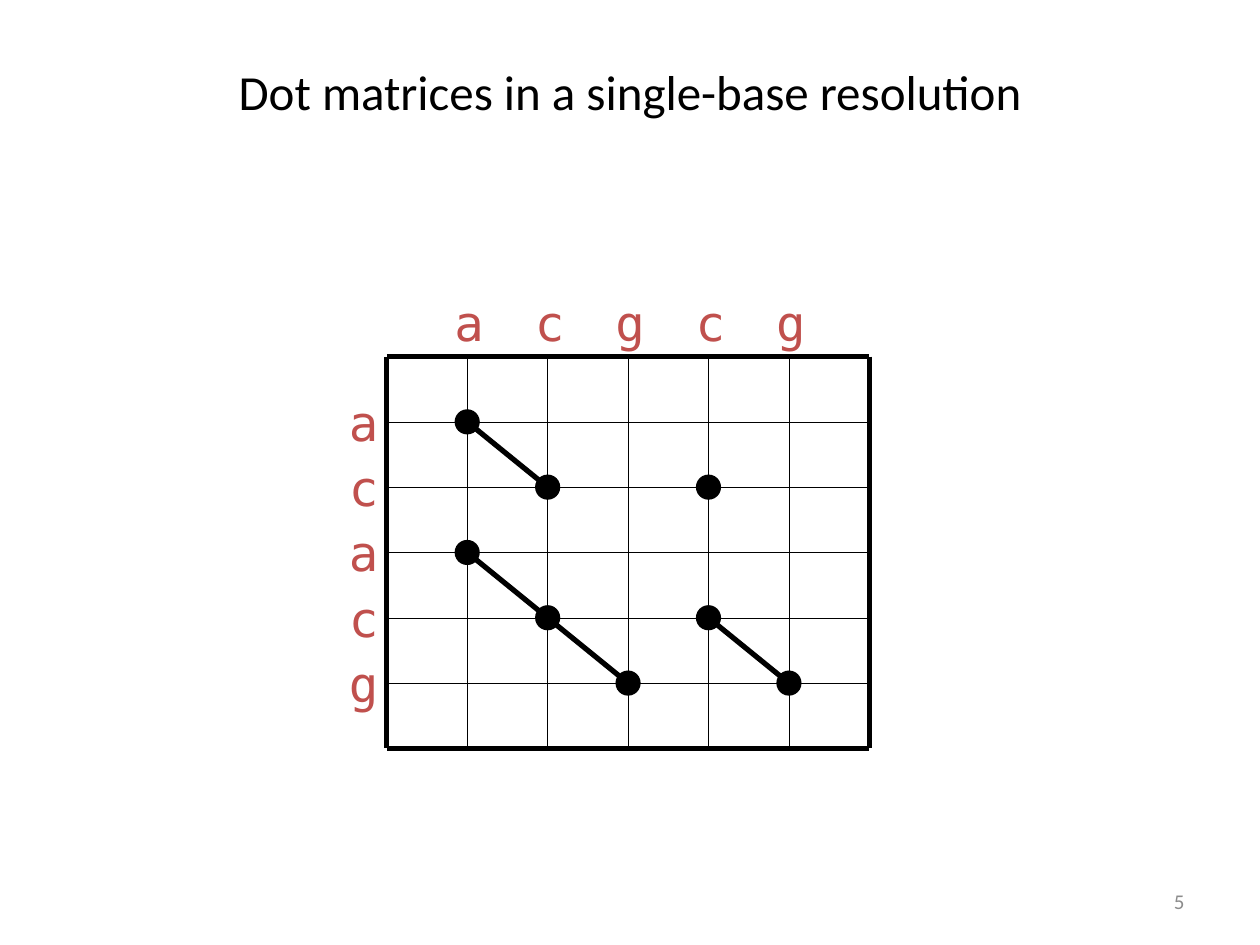
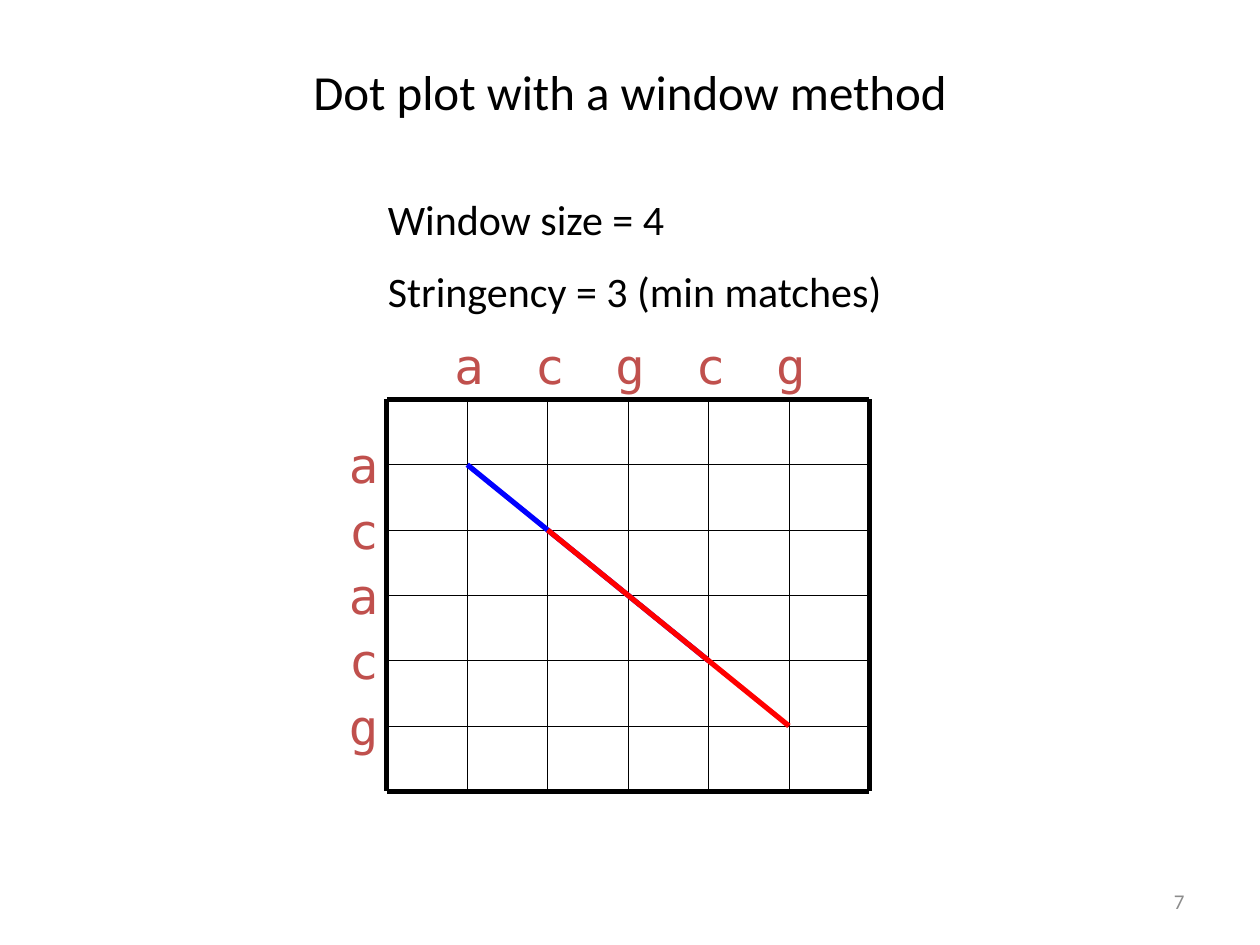
from pptx import Presentation
from pptx.dml.color import RGBColor
from pptx.enum.dml import MSO_LINE
from pptx.enum.shapes import MSO_CONNECTOR, MSO_SHAPE
from pptx.enum.text import MSO_ANCHOR, PP_ALIGN
from pptx.oxml.ns import qn
from pptx.util import Inches, Pt
from lxml.etree import SubElement

BLACK, GRAY, LETTER_RED = "000000", "8C8C8C", "C0504D"
BLUE, RED = "0000FF", "FF0000"
TEXT_FONT, LETTER_FONT = "Calibri", "DejaVu Sans Mono"

COLUMN_LETTERS, ROW_LETTERS = "acgcg", "acacg"
CELLS = 6
GRID_LEFT, GRID_WIDTH, GRID_HEIGHT = 3.07, 3.83, 3.11
DOT_SIZE = 0.2
LETTER_WIDTH, LETTER_HEIGHT = 0.4, 0.57

# Diagonals run from one (column, row) crossing to another.
PLOTS = [
    {"number": "5", "title": "Dot matrices in a single-base resolution",
     "grid_top": 2.83, "dots": True, "settings": [],
     "diagonals": [((1, 1), (2, 2), BLACK), ((1, 3), (3, 5), BLACK),
                   ((4, 4), (5, 5), BLACK)]},
    {"number": "7", "title": "Dot plot with a window method",
     "grid_top": 3.17, "dots": False,
     "settings": ["Window size = 4", "Stringency = 3 (min matches)"],
     "diagonals": [((1, 1), (4, 4), BLUE), ((2, 2), (5, 5), RED)]},
]


def add_text(page, lines, left, top, width, height, size, color,
             font=TEXT_FONT, align=PP_ALIGN.LEFT, anchor=MSO_ANCHOR.TOP, wrap=True):
    box = page.shapes.add_textbox(Inches(left), Inches(top), Inches(width), Inches(height))
    frame = box.text_frame
    frame.word_wrap = wrap
    frame.vertical_anchor = anchor
    frame.text = "\n".join(lines)
    for index, para in enumerate(frame.paragraphs):
        para.alignment = align
        para.font.name = font
        para.font.size = Pt(size)
        para.font.color.rgb = RGBColor.from_string(color)
        if index:
            para.space_before = Pt(size / 2)


def add_line(page, start, end, color=BLACK, dotted=False):
    line = page.shapes.add_connector(
        MSO_CONNECTOR.STRAIGHT, *(Inches(value) for value in (*start, *end)))
    line.line.color.rgb = RGBColor.from_string(color)
    line.line.width = Pt(0.25 if dotted else 3)
    if dotted:
        line.line.dash_style = MSO_LINE.ROUND_DOT
    SubElement(line._element.spPr, qn("a:effectLst"))


deck = Presentation()
deck.slide_width, deck.slide_height = Inches(10), Inches(7.5)

for plot in PLOTS:
    page = deck.slides.add_slide(deck.slide_layouts[5])
    add_text(page, [plot["number"]], 7.17, 6.95, 2.33, 0.4, 12, GRAY,
             align=PP_ALIGN.RIGHT, anchor=MSO_ANCHOR.MIDDLE)

    title = page.shapes.title
    title.left, title.top = Inches(0.5), Inches(0.3)
    title.width, title.height = Inches(9), Inches(0.85)
    title.text_frame.text = plot["title"]
    title.text_frame.vertical_anchor = MSO_ANCHOR.MIDDLE
    heading = title.text_frame.paragraphs[0]
    heading.alignment = PP_ALIGN.CENTER
    heading.font.name = TEXT_FONT
    heading.font.size = Pt(28)
    heading.font.color.rgb = RGBColor.from_string(BLACK)

    grid_top = plot["grid_top"]
    columns = [GRID_LEFT + GRID_WIDTH * step / CELLS for step in range(CELLS + 1)]
    rows = [grid_top + GRID_HEIGHT * step / CELLS for step in range(CELLS + 1)]

    for step, y in enumerate(rows):
        add_line(page, (columns[0], y), (columns[-1], y), dotted=0 < step < CELLS)
    for step, x in enumerate(columns):
        add_line(page, (x, rows[0]), (x, rows[-1]), dotted=0 < step < CELLS)

    letter_places = [(letter, x - LETTER_WIDTH / 2, grid_top - 0.56)
                     for letter, x in zip(COLUMN_LETTERS, columns[1:])]
    letter_places += [(letter, GRID_LEFT - LETTER_WIDTH, y - LETTER_HEIGHT / 2)
                      for letter, y in zip(ROW_LETTERS, rows[1:])]
    for letter, left, top in letter_places:
        add_text(page, [letter], left, top, LETTER_WIDTH, LETTER_HEIGHT, 28, LETTER_RED,
                 font=LETTER_FONT, align=PP_ALIGN.CENTER, wrap=False)

    if plot["dots"]:
        for row_letter, y in zip(ROW_LETTERS, rows[1:]):
            for column_letter, x in zip(COLUMN_LETTERS, columns[1:]):
                if row_letter == column_letter:
                    dot = page.shapes.add_shape(
                        MSO_SHAPE.OVAL, Inches(x - DOT_SIZE / 2), Inches(y - DOT_SIZE / 2),
                        Inches(DOT_SIZE), Inches(DOT_SIZE))
                    dot.shadow.inherit = False
                    dot.fill.solid()
                    dot.fill.fore_color.rgb = RGBColor.from_string(BLACK)
                    dot.line.fill.background()

    for (start_column, start_row), (end_column, end_row), color in plot["diagonals"]:
        add_line(page, (columns[start_column], rows[start_row]),
                 (columns[end_column], rows[end_row]), color)

    if plot["settings"]:
        add_text(page, plot["settings"], 2.98, 1.49, 4.81, 1.11, 24, BLACK)

deck.save("out.pptx")
